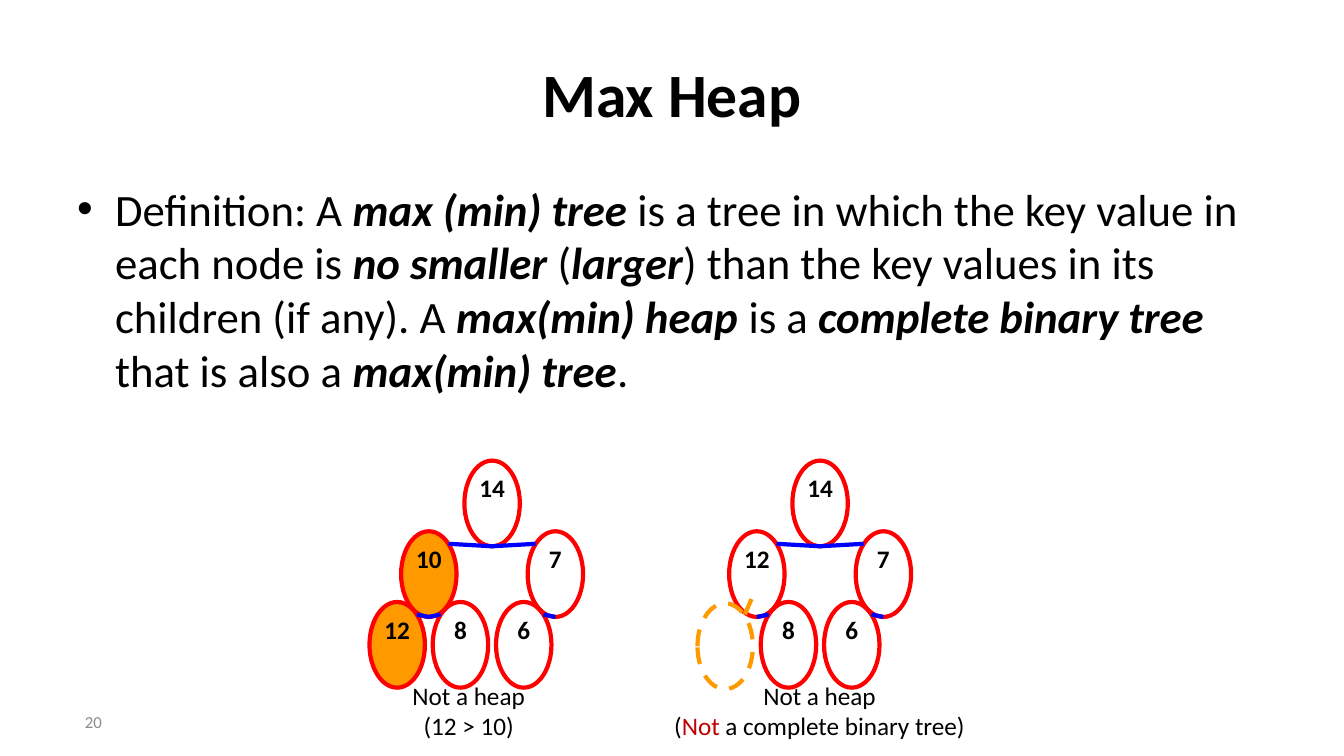
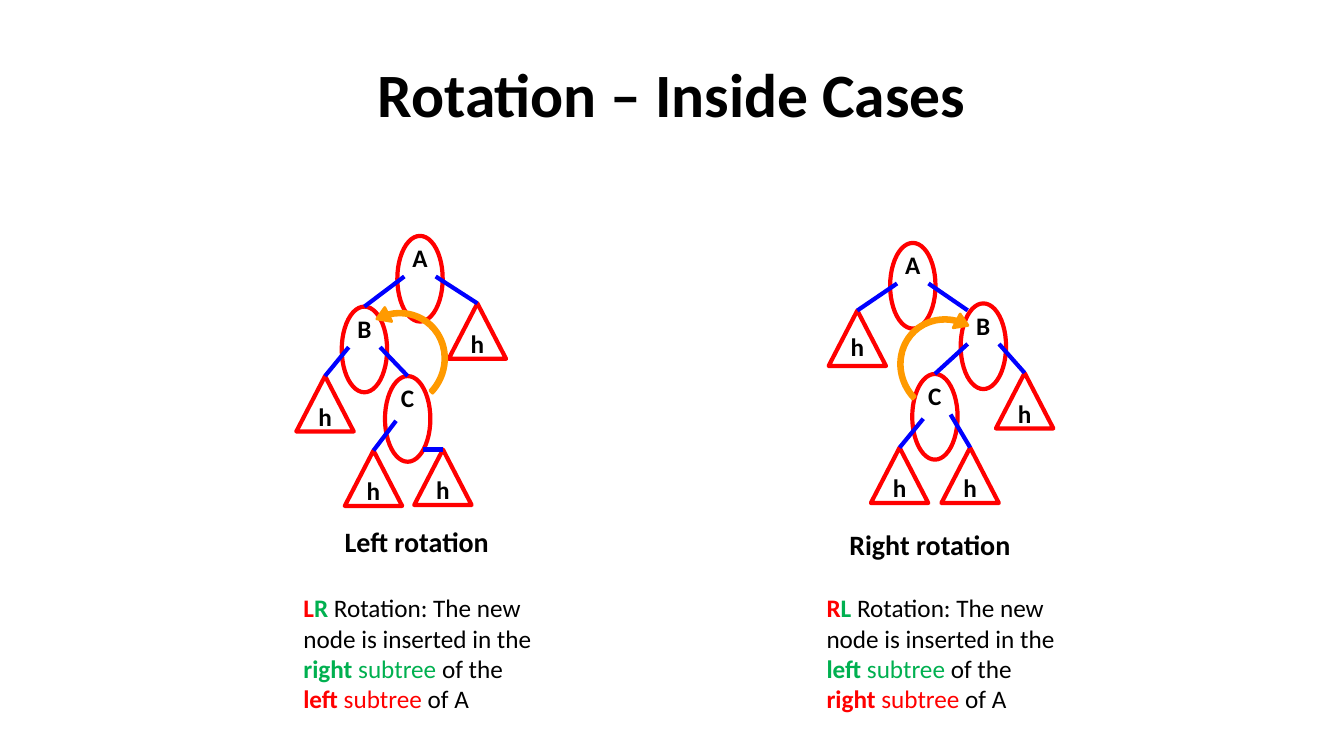
from dataclasses import dataclass
from typing import NamedTuple, Optional

from lxml import etree
from pptx import Presentation
from pptx.dml.color import RGBColor
from pptx.enum.dml import MSO_LINE
from pptx.enum.shapes import MSO_CONNECTOR, MSO_SHAPE
from pptx.enum.text import MSO_ANCHOR, PP_ALIGN
from pptx.oxml.ns import qn
from pptx.util import Pt

# Shared style
FONT = "Calibri"
BLACK, GRAY = "000000", "8C8C8C"
RED, DARK_RED, GREEN, BLUE = "FF0000", "C00000", "00B050", "0000FF"
ORANGE, ARC_ORANGE = "FF9900", "FF9A00"
LEFT, CENTER, RIGHT = PP_ALIGN.LEFT, PP_ALIGN.CENTER, PP_ALIGN.RIGHT
NODE_H = 61.2
LABEL_W = 50

# Heap grid
HEAP_W, HEAP_TOP, COL_STEP, LEVEL_STEP = 39.6, 329, 22.6, 50.5
# Rotation trees
CIRCLE_W, TRIANGLE_W, TRIANGLE_H = 32.4, 41, 39.6


class Run(NamedTuple):
    text: str
    bold: bool = False
    italic: bool = False
    color: str = BLACK


@dataclass
class HeapNode:
    key: str
    col: int
    level: int
    parent: Optional[int] = None
    fill: Optional[str] = None


@dataclass
class TreeNode:
    text: str
    cx: float
    top: float
    parent: Optional[int] = None
    reach: float = 11.2      # edge start, sideways from the parent's centre
    drop: float = 29         # edge start, below the parent's top
    end_dx: float = 0
    end_dy: float = 0
    label_dy: float = 0


class Rotation(NamedTuple):
    caption: str
    caption_cx: float
    caption_top: float
    nodes: list[TreeNode]
    arc_box: tuple[float, float, float, float]
    arc_angle: float
    flip: bool
    note_x: float
    first: str
    second: str
    outer: str
    inner: str


def rgb(color: str) -> RGBColor:
    return RGBColor.from_string(color)


def format_run(r, size: float, bold=False, italic=False, color=BLACK) -> None:
    f = r.font
    f.name, f.size, f.bold, f.italic = FONT, Pt(size), bold, italic
    f.color.rgb = rgb(color)


def new_slide(prs, title: str):
    s = prs.slides.add_slide(prs.slide_layouts[5])
    sp = s.shapes.title
    sp.left, sp.top, sp.width, sp.height = Pt(48), Pt(21.6), Pt(864), Pt(90)
    tf = sp.text_frame
    tf.vertical_anchor = MSO_ANCHOR.MIDDLE
    tf.text = title
    p = tf.paragraphs[0]
    p.alignment = CENTER
    format_run(p.runs[0], 44, bold=True)
    return s


def add_text(s, x: float, y: float, w: float, h: float,
             lines: list[list[Run]], size: float = 18, align=LEFT):
    tf = s.shapes.add_textbox(Pt(x), Pt(y), Pt(w), Pt(h)).text_frame
    tf.word_wrap = True
    tf.margin_left = tf.margin_right = tf.margin_top = tf.margin_bottom = 0
    for i, runs in enumerate(lines):
        p = tf.add_paragraph() if i else tf.paragraphs[0]
        p.alignment = align
        for run in runs:
            r = p.add_run()
            r.text = run.text
            format_run(r, size, run.bold, run.italic, run.color)
    return tf


def add_centered(s, cx: float, y: float, w: float, lines: list[list[Run]],
                 size: float = 18) -> None:
    add_text(s, cx - w / 2, y, w, 22 * len(lines), lines, size, CENTER)


def add_outline(s, kind, x: float, y: float, w: float, h: float,
                line: str = RED, fill: Optional[str] = None,
                weight: float = 3, dashed: bool = False):
    sp = s.shapes.add_shape(kind, Pt(x), Pt(y), Pt(w), Pt(h))
    sp.shadow.inherit = False
    if fill:
        sp.fill.solid()
        sp.fill.fore_color.rgb = rgb(fill)
    else:
        sp.fill.background()
    sp.line.color.rgb = rgb(line)
    sp.line.width = Pt(weight)
    if dashed:
        sp.line.dash_style = MSO_LINE.DASH
    return sp


def add_edge(s, x1: float, y1: float, x2: float, y2: float,
             color: str = BLUE, dashed: bool = False) -> None:
    c = s.shapes.add_connector(MSO_CONNECTOR.STRAIGHT,
                               Pt(x1), Pt(y1), Pt(x2), Pt(y2))
    c.line.color.rgb = rgb(color)
    c.line.width = Pt(3)
    if dashed:
        c.line.dash_style = MSO_LINE.DASH
    etree.SubElement(c.element.spPr, qn("a:effectLst"))


def add_bullet(p, indent: float) -> None:
    pPr = p._p.get_or_add_pPr()
    pPr.set("marL", str(Pt(indent)))
    pPr.set("indent", str(-Pt(indent)))
    etree.SubElement(pPr, qn("a:buFont")).set("typeface", "Arial")
    etree.SubElement(pPr, qn("a:buChar")).set("char", "•")


def heap_position(root_cx: float, node: HeapNode) -> tuple[float, float]:
    return (root_cx + node.col * COL_STEP, HEAP_TOP + node.level * LEVEL_STEP)


def heap_joint(cx: float, top: float, parent_cx: float) -> tuple[float, float]:
    """Point on the node's upper rim, on the side of its parent."""
    side = 1 if parent_cx > cx else -1
    return cx + side * 0.355 * HEAP_W, top + 0.146 * NODE_H


def draw_heap(s, root_cx: float, nodes: list[HeapNode]) -> None:
    spots = [heap_position(root_cx, n) for n in nodes]
    for n, (cx, top) in zip(nodes, spots):
        add_outline(s, MSO_SHAPE.OVAL, cx - HEAP_W / 2, top, HEAP_W, NODE_H,
                    fill=n.fill)
    for n, (cx, top) in zip(nodes, spots):
        if n.parent is not None:
            px, py = spots[n.parent]
            add_edge(s, *heap_joint(cx, top, px), px, py + NODE_H)
        add_centered(s, cx, top + 8.6, LABEL_W, [[Run(n.key, True)]])


def draw_missing_leaf(s, root_cx: float) -> None:
    cx, top = heap_position(root_cx, HeapNode("", -3, 2))
    px, py = heap_position(root_cx, HeapNode("", -2, 1))
    add_outline(s, MSO_SHAPE.OVAL, cx - HEAP_W / 2, top + 1, HEAP_W, NODE_H,
                line=ORANGE, dashed=True)
    add_edge(s, *heap_joint(cx, top, px), px - 1, py + 42, ORANGE, True)


def draw_tree(s, nodes: list[TreeNode]) -> None:
    for n in nodes:
        if n.text == "h":
            kind, w, h, dy = MSO_SHAPE.ISOSCELES_TRIANGLE, TRIANGLE_W, TRIANGLE_H, 17.8
        else:
            kind, w, h, dy = MSO_SHAPE.OVAL, CIRCLE_W, NODE_H, 4.8
        add_outline(s, kind, n.cx - w / 2, n.top, w, h)
        add_centered(s, n.cx, n.top + dy + n.label_dy, LABEL_W,
                     [[Run(n.text, True)]])
    for n in nodes:
        if n.parent is not None:
            up = nodes[n.parent]
            side = 1 if n.cx > up.cx else -1
            add_edge(s, up.cx + side * n.reach, up.top + n.drop,
                     n.cx + n.end_dx, n.top + n.end_dy)


def draw_rotation(s, rot: Rotation) -> None:
    draw_tree(s, rot.nodes)
    # Curved arrow from C to B
    arc = add_outline(s, MSO_SHAPE.CIRCULAR_ARROW, *rot.arc_box,
                      line=ARC_ORANGE, fill=ARC_ORANGE, weight=2)
    for i, value in enumerate((0.035, 9.055, 194.768, 108, 0.072)):
        arc.adjustments[i] = value
    arc.rotation = rot.arc_angle
    if rot.flip:
        arc.element.spPr.find(qn("a:xfrm")).set("flipH", "1")
    # Explanation and caption
    add_text(s, rot.note_x, 423.4, 165.6, 88, [[
        Run(rot.first, True, color=RED), Run(rot.second, True, color=GREEN),
        Run(" Rotation: The new node is inserted in the "),
        Run(rot.inner, True, color=GREEN), Run(" subtree", color=GREEN),
        Run(" of the "),
        Run(rot.outer, True, color=RED), Run(" subtree", color=RED),
        Run(" of A")]])
    add_centered(s, rot.caption_cx, rot.caption_top, 200,
                 [[Run(rot.caption, True)]], 20)


HEAP_LEFT_CX, HEAP_RIGHT_CX = 351.5, 585.8
LEFT_HEAP = [HeapNode("14", 0, 0), HeapNode("10", -2, 1, 0, ORANGE),
             HeapNode("7", 2, 1, 0), HeapNode("12", -3, 2, 1, ORANGE),
             HeapNode("8", -1, 2, 1), HeapNode("6", 1, 2, 2)]
RIGHT_HEAP = [HeapNode("14", 0, 0), HeapNode("12", -2, 1, 0),
              HeapNode("7", 2, 1, 0), HeapNode("8", -1, 2, 1),
              HeapNode("6", 1, 2, 2)]

DEFINITION = [
    Run("Definition: A "), Run("max (min) tree", True, True),
    Run(" is a tree in which the key value in each node is "),
    Run("no smaller", True, True), Run(" ("), Run("larger", True, True),
    Run(") than the key values in its children (if any). A "),
    Run("max(min) heap ", True, True), Run("is a "),
    Run("complete binary tree ", True, True), Run("that is also a "),
    Run("max(min) tree", True, True), Run(".")]

ROTATIONS = [
    Rotation("Left rotation", 297.7, 375, [
        TreeNode("A", 300, 168.5), TreeNode("B", 260.3, 219, 0),
        TreeNode("h", 341, 216.7, 0), TreeNode("h", 232.2, 268.6, 1),
        TreeNode("C", 291.2, 268.6, 1),
        TreeNode("h", 266.8, 321.8, 4, reach=8.3, drop=32),
        TreeNode("h", 316.4, 321.1, 4, drop=52.5)],
        (245.5, 217.4, 77, 80), 43.1, True, 216.7, "L", "R", "left", "right"),
    Rotation("Right rotation", 664.2, 376.5, [
        TreeNode("A", 652, 173.5), TreeNode("h", 612.4, 221.8, 0, label_dy=-3),
        TreeNode("B", 702.4, 216.7, 0, end_dx=-11.2, end_dy=5),
        TreeNode("h", 731.9, 266.4, 2), TreeNode("C", 667.8, 267.1, 2),
        TreeNode("h", 642.6, 319.7, 4, reach=8.3, drop=32),
        TreeNode("h", 693, 319.7, 4)],
        (638.6, 221.8, 76.3, 80), 316.9, False, 590.4, "R", "L", "right", "left"),
]


def build_max_heap(prs) -> None:
    s = new_slide(prs, "Max Heap")
    tf = add_text(s, 55.2, 129.6, 849.6, 160, [DEFINITION], 32)
    add_bullet(tf.paragraphs[0], 27)
    draw_heap(s, HEAP_LEFT_CX, LEFT_HEAP)
    draw_heap(s, HEAP_RIGHT_CX, RIGHT_HEAP)
    draw_missing_leaf(s, HEAP_RIGHT_CX)
    # Captions and page number
    add_centered(s, 334.8, 486, 172, [[Run("Not a heap")], [Run("(12 > 10)")]])
    add_centered(s, 585.4, 486, 275, [
        [Run("Not a heap")],
        [Run("("), Run("Not", color=DARK_RED), Run(" a complete binary tree)")]])
    add_text(s, 20, 508.2, 52.7, 15, [[Run("20", color=GRAY)]], 12, RIGHT)


def build_rotations(prs) -> None:
    s = new_slide(prs, "Rotation – Inside Cases")
    for rot in ROTATIONS:
        draw_rotation(s, rot)


def main() -> None:
    prs = Presentation()
    prs.slide_width, prs.slide_height = Pt(960), Pt(540)
    build_max_heap(prs)
    build_rotations(prs)
    prs.save("out.pptx")


if __name__ == "__main__":
    main()
